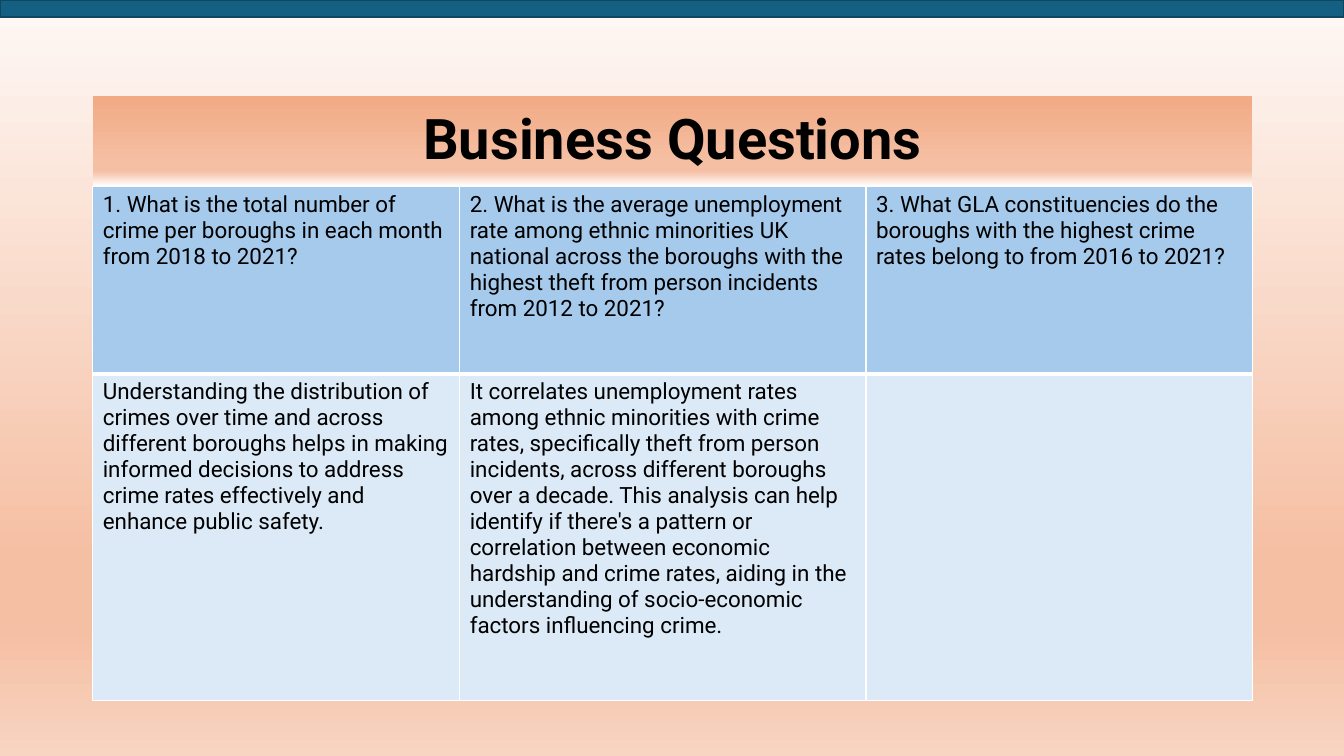
from lxml import etree
from pptx import Presentation
from pptx.dml.color import RGBColor
from pptx.enum.shapes import MSO_SHAPE
from pptx.enum.text import MSO_ANCHOR, PP_ALIGN
from pptx.oxml.ns import qn
from pptx.util import Inches, Pt

RECTANGLE = MSO_SHAPE.RECTANGLE
CENTER = PP_ALIGN.CENTER
MIDDLE = MSO_ANCHOR.MIDDLE

FONT = "Roboto"
SLIDE_WIDTH, SLIDE_HEIGHT = 13.33, 7.5
LEFT, CONTENT_WIDTH = 0.92, 11.5
TITLE_TOP, TITLE_HEIGHT = 0.95, 0.9
COLUMN_WIDTHS = (3.64, 4.03, 3.83)
ROW_HEIGHTS = (1.86, 3.24)
ROW_FILLS = ("A6CAEC", "DCEAF7")
ROW_BORDERS = (
    {"lnL": 1, "lnR": 1, "lnT": 1, "lnB": 3},
    {"lnL": 1, "lnR": 1, "lnT": 3, "lnB": 1},
)

BACKGROUND_STOPS = ((0, "FEF8F5"), (74, "F5BFA3"), (83, "F5BFA3"), (100, "F8D4C2"))
TITLE_STOPS = ((0, "F2AA84"), (74, "F5BFA3"), (83, "F5BFA3"), (100, "FFFFFF"))

QUESTIONS = (
    "1. What is the total number of crime per boroughs in each month from 2018 to 2021?",
    "2. What is the average unemployment rate among ethnic minorities UK national across "
    "the boroughs with the highest theft from person incidents from 2012 to 2021?",
    "3. What GLA constituencies do the boroughs with the highest crime rates belong to "
    "from 2016 to 2021?",
)
REASONS = (
    "Understanding the distribution of crimes over time and across different boroughs helps "
    "in making informed decisions to address crime rates effectively and enhance public safety.",
    "It correlates unemployment rates among ethnic minorities with crime rates, specifically "
    "theft from person incidents, across different boroughs over a decade. This analysis can "
    "help identify if there's a pattern or correlation between economic hardship and crime "
    "rates, aiding in the understanding of socio-economic factors influencing crime.",
    "",
)


def color(value):
    return RGBColor.from_string(value)


def add_color(parent, value):
    etree.SubElement(parent, qn("a:srgbClr"), val=value)


def fill_gradient(fill, owner, stops):
    fill.gradient()
    fill.gradient_angle = 270
    stop_list = owner.element.find(".//" + qn("a:gsLst"))
    for stop in list(stop_list):
        stop_list.remove(stop)
    for position, value in stops:
        add_color(etree.SubElement(stop_list, qn("a:gs"), pos=str(position * 1000)), value)


def format_runs(text_frame, size, bold=False):
    for paragraph in text_frame.paragraphs:
        for run in paragraph.runs:
            run.font.name = FONT
            run.font.size = Pt(size)
            run.font.bold = bold
            run.font.color.rgb = color("000000")


def add_rectangle(slide, left, top, width, height):
    shape = slide.shapes.add_shape(
        RECTANGLE, Inches(left), Inches(top), Inches(width), Inches(height)
    )
    shape.shadow.inherit = False
    return shape


def add_title(slide, text):
    shape = add_rectangle(slide, LEFT, TITLE_TOP, CONTENT_WIDTH, TITLE_HEIGHT)
    fill_gradient(shape.fill, shape, TITLE_STOPS)
    shape.line.fill.background()
    text_frame = shape.text_frame
    text_frame.text = text
    text_frame.word_wrap = True
    text_frame.vertical_anchor = MIDDLE
    text_frame.paragraphs[0].alignment = CENTER
    text_frame.paragraphs[0].line_spacing = 0.9
    format_runs(text_frame, 40, bold=True)


def set_borders(cell, borders):
    properties = cell._tc.get_or_add_tcPr()
    for index, (side, width) in enumerate(borders.items()):
        line = etree.Element(qn("a:" + side), w=str(Pt(width)))
        add_color(etree.SubElement(line, qn("a:solidFill")), "FFFFFF")
        properties.insert(index, line)


def add_question_table(slide, rows):
    table = slide.shapes.add_table(
        len(ROW_HEIGHTS), len(COLUMN_WIDTHS), Inches(LEFT),
        Inches(TITLE_TOP + TITLE_HEIGHT), Inches(CONTENT_WIDTH), Inches(sum(ROW_HEIGHTS)),
    ).table
    for column, width in zip(table.columns, COLUMN_WIDTHS):
        column.width = Inches(width)
    for index, texts in enumerate(rows):
        table.rows[index].height = Inches(ROW_HEIGHTS[index])
        for cell, text in zip(table.rows[index].cells, texts):
            cell.fill.solid()
            cell.fill.fore_color.rgb = color(ROW_FILLS[index])
            set_borders(cell, ROW_BORDERS[index])
            cell.text_frame.text = text
            format_runs(cell.text_frame, 16)


def add_top_bar(slide):
    bar = add_rectangle(slide, 0, 0, SLIDE_WIDTH, 0.17)
    bar.fill.solid()
    bar.fill.fore_color.rgb = color("156082")
    bar.line.color.rgb = color("104760")
    bar.line.width = Pt(1.5)


def main():
    presentation = Presentation()
    presentation.slide_width = Inches(SLIDE_WIDTH)
    presentation.slide_height = Inches(SLIDE_HEIGHT)
    slide = presentation.slides.add_slide(presentation.slide_layouts[6])
    fill_gradient(slide.background.fill, slide, BACKGROUND_STOPS)
    add_title(slide, "Business Questions")
    add_question_table(slide, (QUESTIONS, REASONS))
    add_top_bar(slide)
    presentation.save("out.pptx")


if __name__ == "__main__":
    main()
